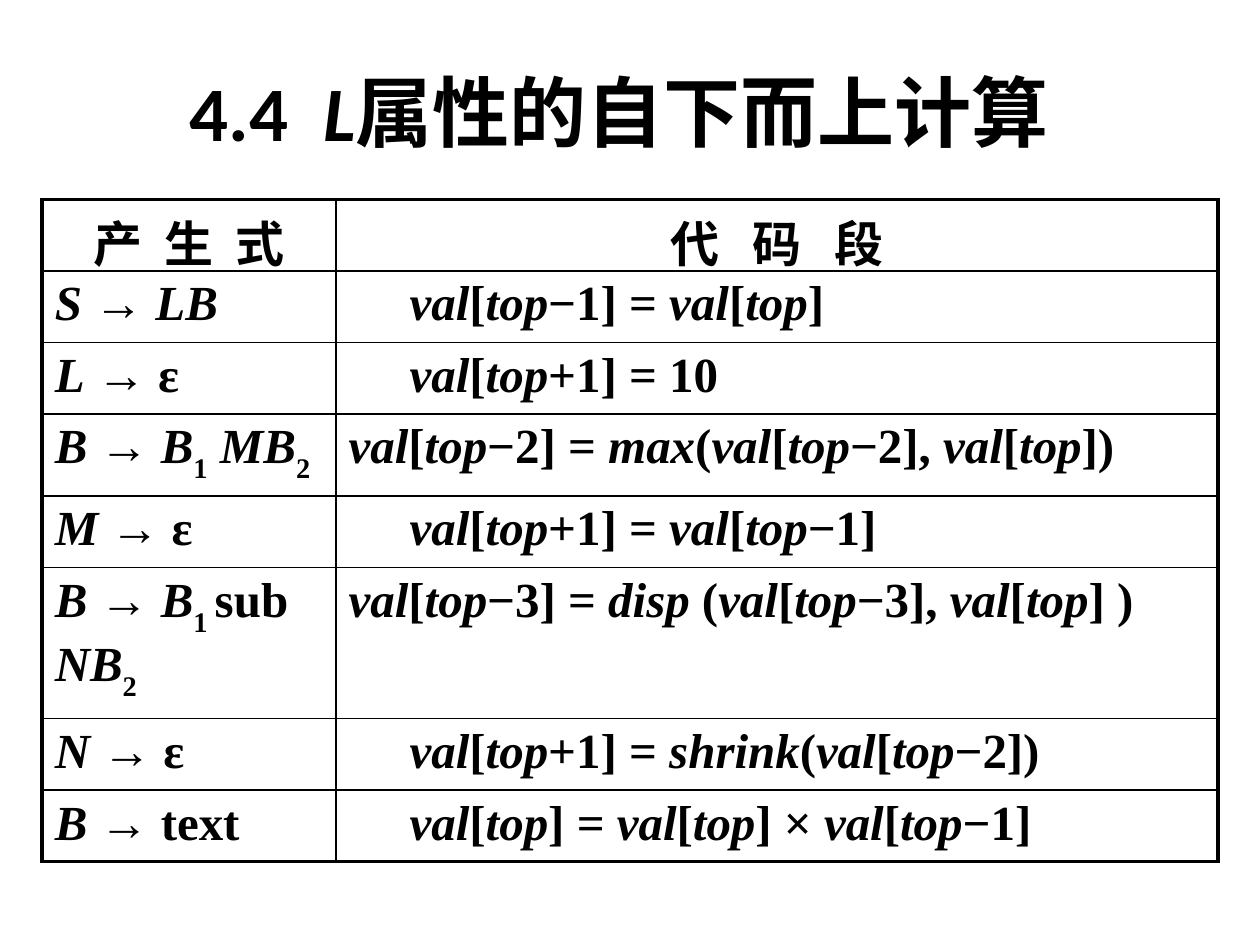
from itertools import product

from lxml.etree import SubElement
from pptx import Presentation
from pptx.dml.color import RGBColor
from pptx.enum.text import MSO_ANCHOR, PP_ALIGN
from pptx.oxml import parse_xml
from pptx.oxml.ns import nsdecls, qn
from pptx.util import Cm, Pt

BLACK = RGBColor(0, 0, 0)
WHITE = RGBColor(255, 255, 255)
SERIF, SANS, CJK = "Times New Roman", "Calibri", "Noto Sans CJK SC"
THIN, THICK = Pt(1), Pt(2.25)
INDENT = Cm(1.23)

# Markup: *italic*, _subscript_
HEADINGS = [("产 生 式", 3.2), ("代 码 段", 6.3)]  # text, letter spacing in points
RULES = [  # production, code, whether the code is indented
    ("*S* → *LB*", "*val*[*top*−1] = *val*[*top*]", True),
    ("*L* → ε", "*val*[*top*+1] = 10", True),
    ("*B* → *B*_1_ *MB*_2_", "*val*[*top*−2] = *max*(*val*[*top*−2], *val*[*top*])", False),
    ("*M* → ε", "*val*[*top*+1] = *val*[*top*−1]", True),
    ("*B* → *B*_1 _sub *NB*_2_", "*val*[*top*−3] = *disp* (*val*[*top*−3], *val*[*top*] )", False),
    ("*N* → ε", "*val*[*top*+1] = *shrink*(*val*[*top*−2])", True),
    ("*B* → text", "*val*[*top*] = *val*[*top*] × *val*[*top*−1]", True),
]


def style(paragraph, size, name, align=PP_ALIGN.LEFT):
    paragraph.alignment = align
    font = paragraph.font
    font.size, font.name, font.bold = Pt(size), name, True
    font.color.rgb = BLACK


def add_run(paragraph, text, italic=False, spacing=0, east_asian=None):
    run = paragraph.add_run()
    run.text = text
    if italic:
        run.font.italic = True
    properties = run.font._element
    if spacing:
        properties.set("spc", str(round(spacing * 100)))
    if east_asian:
        SubElement(properties, qn("a:ea")).set("typeface", east_asian)
    return run


def add_formula(paragraph, markup):
    for i, part in enumerate(markup.split("*")):
        for j, text in enumerate(part.split("_")):
            if text:
                run = add_run(paragraph, text, italic=i % 2 == 1)
                if j % 2:
                    run.font._element.set("baseline", "-30000")


def set_borders(cell, **widths):
    """Widths are keyed by side: L, R, T, B."""
    cell.fill.background()
    properties = cell._tc.get_or_add_tcPr()
    for position, (side, width) in enumerate(widths.items()):
        properties.insert(position, parse_xml(
            f'<a:ln{side} {nsdecls("a")} w="{int(width)}"><a:solidFill>'
            f'<a:srgbClr val="{BLACK}"/></a:solidFill></a:ln{side}>'))


def add_title(slide, left, top, width, height):
    frame = slide.shapes.add_textbox(left, top, width, height).text_frame
    frame.word_wrap = True
    frame.vertical_anchor = MSO_ANCHOR.MIDDLE
    paragraph = frame.paragraphs[0]
    style(paragraph, 44, SANS, PP_ALIGN.CENTER)
    add_run(paragraph, "4.4")
    add_run(paragraph, " ", spacing=10)
    add_run(paragraph, "L", italic=True)
    add_run(paragraph, "属性的自下而上计算", east_asian=CJK)


def add_rule_table(slide, left, top, width, height):
    row_count = len(RULES) + 1
    table = slide.shapes.add_table(row_count, 2, left, top, width, height).table
    table.first_row = table.horz_banding = False
    table.columns[0].width = width // 4
    table.columns[1].width = width - width // 4

    # Heading row
    for column, (text, spacing) in enumerate(HEADINGS):
        paragraph = table.cell(0, column).text_frame.paragraphs[0]
        style(paragraph, 28, CJK, PP_ALIGN.CENTER)
        add_run(paragraph, text, spacing=spacing, east_asian=CJK)

    # Productions and their code
    for row, (production, code, indented) in enumerate(RULES, start=1):
        for column, markup in enumerate((production, code)):
            paragraph = table.cell(row, column).text_frame.paragraphs[0]
            style(paragraph, 28, SERIF)
            add_formula(paragraph, markup)
        if indented:
            paragraph._p.get_or_add_pPr().set("marL", str(int(INDENT)))

    # Thick frame, thin inner lines
    for row, column in product(range(row_count), range(2)):
        set_borders(
            table.cell(row, column),
            L=THIN if column else THICK,
            R=THICK if column else THIN,
            T=THIN if row else THICK,
            B=THICK if row == row_count - 1 else THIN,
        )


presentation = Presentation()
presentation.slide_width, presentation.slide_height = Cm(25.4), Cm(19.05)
slide = presentation.slides.add_slide(presentation.slide_layouts[6])
slide.background.fill.solid()
slide.background.fill.fore_color.rgb = WHITE

add_title(slide, Cm(0.85), Cm(0.64), Cm(23.28), Cm(3.18))
add_rule_table(slide, Cm(0.85), Cm(4.02), Cm(23.7), Cm(11.29))

presentation.save("out.pptx")
